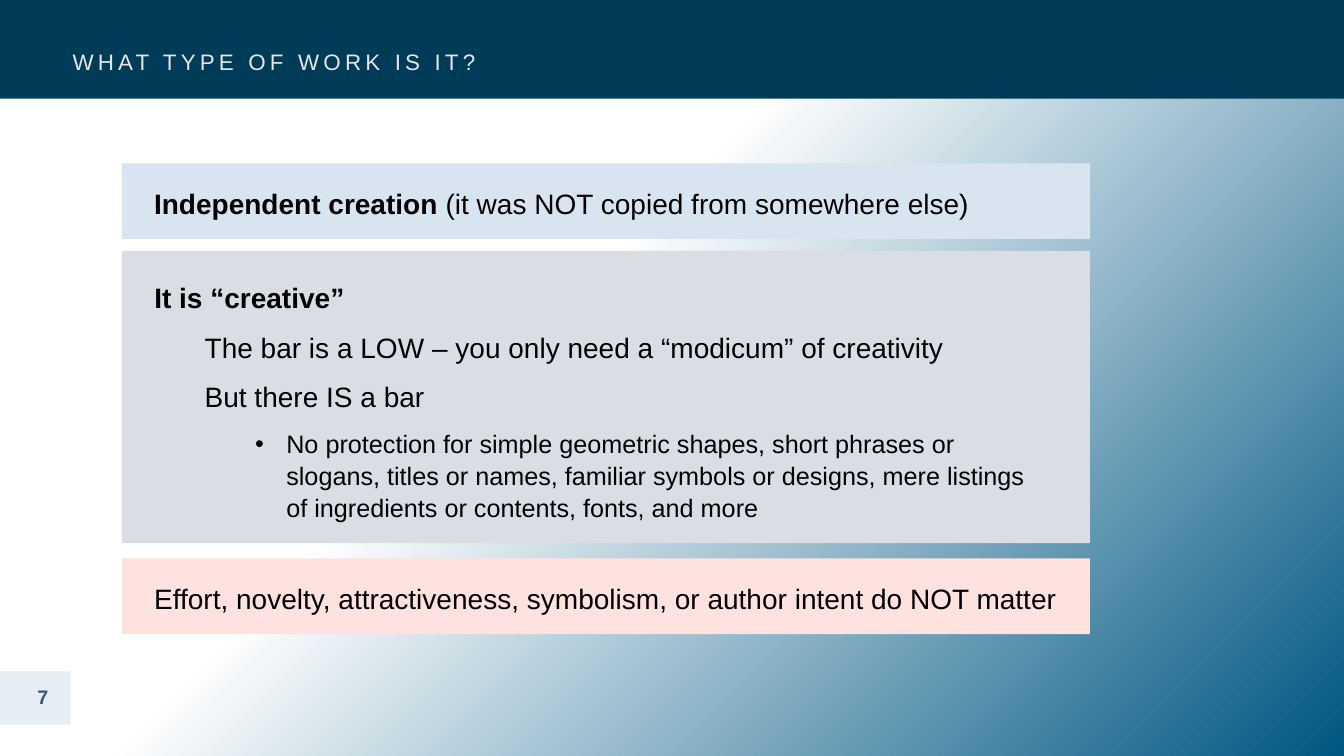
"""Build the slide on what makes a work independent and creative."""
import pptx
import pptx.dml.color
import pptx.enum.shapes
import pptx.enum.text
import pptx.oxml.ns
import pptx.util
from lxml import etree

NAVY = pptx.dml.color.RGBColor(0x00, 0x3B, 0x58)
OCEAN = pptx.dml.color.RGBColor(0x00, 0x57, 0x82)
WHITE = pptx.dml.color.RGBColor(0xFF, 0xFF, 0xFF)
BLACK = pptx.dml.color.RGBColor(0x00, 0x00, 0x00)
PALE_BLUE = pptx.dml.color.RGBColor(0xD9, 0xE4, 0xF1)
PALE_GREY = pptx.dml.color.RGBColor(0xDA, 0xDE, 0xE4)
PALE_RED = pptx.dml.color.RGBColor(0xFD, 0xE2, 0xE0)
PAGE_BLUE = pptx.dml.color.RGBColor(0x33, 0x59, 0x89)
TITLE_GREY = pptx.dml.color.RGBColor(0xE7, 0xE6, 0xE6)
MARGIN = 1.21
PANEL_WIDTH = 9.6
TEXT_LEFT = 1.43


def add_band(left, top, width, height, color):
    """Add a plain filled rectangle, in inches."""
    band = slide.shapes.add_shape(
        pptx.enum.shapes.MSO_SHAPE.RECTANGLE,
        *[pptx.util.Inches(length) for length in (left, top, width, height)])
    band.shadow.inherit = False
    band.fill.solid()
    band.fill.fore_color.rgb = color
    band.line.fill.background()
    return band


def write(paragraph, text, size=20, color=BLACK, bold=False, align=None,
          before=0, spacing=1.05, track=0):
    """Append a formatted run to a paragraph."""
    paragraph.alignment = align
    paragraph.space_before = pptx.util.Pt(before)
    paragraph.line_spacing = spacing
    run = paragraph.add_run()
    run.text = text
    run.font.name = "Arial"
    run.font.size = pptx.util.Pt(size)
    run.font.bold = bold
    run.font.color.rgb = color
    if track:
        run.font._element.set("spc", str(track * 100))


deck = pptx.Presentation()
deck.slide_width = pptx.util.Inches(13.33)
deck.slide_height = pptx.util.Inches(7.5)
slide = deck.slides.add_slide(deck.slide_layouts[1])
title, criteria = slide.placeholders

backdrop = slide.background.fill
backdrop.gradient()
backdrop.gradient_angle = 315
for stop, position, color in zip(backdrop.gradient_stops, (0.41, 1), (WHITE, OCEAN)):
    stop.position = position
    stop.color.rgb = color

add_band(0, 0, 13.33, 0.98, NAVY)
page_tab = add_band(0, 6.66, 0.7, 0.53, PALE_BLUE)
tab_color = page_tab.fill._xPr.find(".//" + pptx.oxml.ns.qn("a:srgbClr"))
etree.SubElement(tab_color, pptx.oxml.ns.qn("a:alpha"), val="65000")
for top, height, color in ((1.62, 0.75, PALE_BLUE), (2.49, 2.9, PALE_GREY),
                           (5.54, 0.75, PALE_RED)):
    add_band(MARGIN, top, PANEL_WIDTH, height, color)

for holder in (title, criteria):
    slide.shapes._spTree.append(holder._element)
page_number, independence, irrelevant = [
    slide.shapes.add_textbox(0, 0, 0, 0) for _ in range(3)]

for box, left, top, width, height in (
        (title, 0.62, 0, 12.05, 0.8),
        (criteria, TEXT_LEFT, 2.72, 9.06, 2.44),
        (page_number, 0.15, 6.75, 0.55, 0.34),
        (independence, TEXT_LEFT, 1.78, 8.6, 0.44),
        (irrelevant, TEXT_LEFT, 5.7, 9.18, 0.44)):
    box.left, box.top = pptx.util.Inches(left), pptx.util.Inches(top)
    box.width, box.height = pptx.util.Inches(width), pptx.util.Inches(height)
    box.text_frame.word_wrap = True
    box.text_frame.auto_size = pptx.enum.text.MSO_AUTO_SIZE.NONE
    box.text_frame.vertical_anchor = pptx.enum.text.MSO_ANCHOR.TOP

title.text_frame.vertical_anchor = pptx.enum.text.MSO_ANCHOR.BOTTOM
write(title.text_frame.paragraphs[0], "WHAT TYPE OF WORK IS IT?", size=16,
      color=TITLE_GREY, align=pptx.enum.text.PP_ALIGN.LEFT, spacing=0.9, track=3)
write(page_number.text_frame.paragraphs[0], "7", size=14, color=PAGE_BLUE,
      bold=True, align=pptx.enum.text.PP_ALIGN.CENTER, spacing=1)
premise = independence.text_frame.paragraphs[0]
write(premise, "Independent creation ", bold=True)
write(premise, "(it was NOT copied from somewhere else)")
write(irrelevant.text_frame.paragraphs[0],
      "Effort, novelty, attractiveness, symbolism, or author intent do NOT matter")

points = (
    (0, "It is “creative”", 20),
    (1, "The bar is a LOW – you only need a “modicum” of creativity", 20),
    (1, "But there IS a bar", 20),
    (2, "No protection for simple geometric shapes, short phrases or slogans, "
        "titles or names, familiar symbols or designs, mere listings of "
        "ingredients or contents, fonts, and more", 18),
)
indents = ((0, 0), (0.5, 0), (1.31, -0.31))
for index, (level, text, size) in enumerate(points):
    frame = criteria.text_frame
    point = frame.add_paragraph() if index else frame.paragraphs[0]
    point.level = level
    layout = point._p.get_or_add_pPr()
    for name, inches in zip(("marL", "indent"), indents[level]):
        layout.set(name, str(pptx.util.Inches(inches)))
    if level == 2:
        etree.SubElement(layout, pptx.oxml.ns.qn("a:buChar"), char="•")
    else:
        etree.SubElement(layout, pptx.oxml.ns.qn("a:buNone"))
    write(point, text, size=size, bold=level == 0, before=10 if index else 0)

deck.save("out.pptx")
